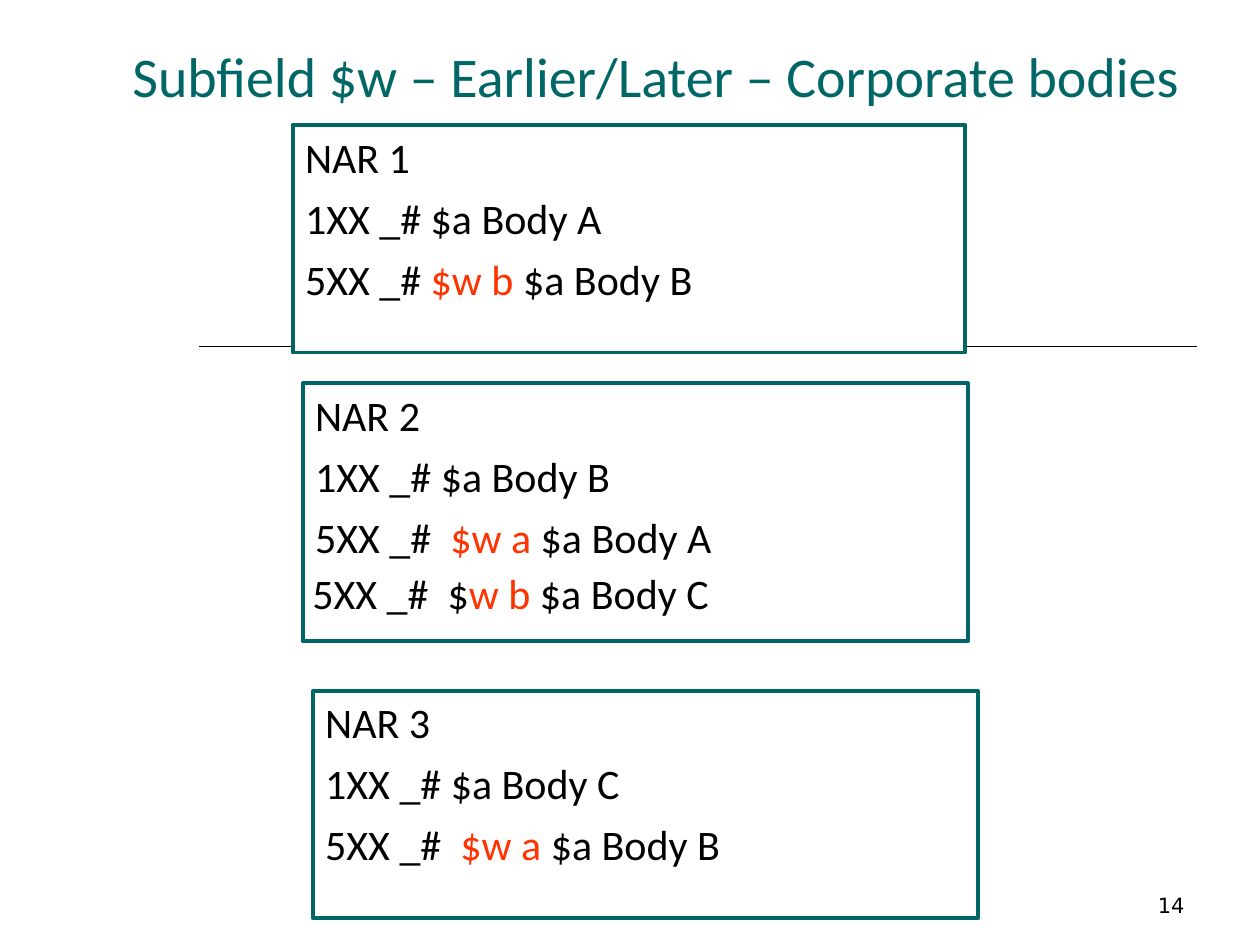
from pptx import Presentation
from pptx.dml import color
from pptx.enum import shapes, text
from pptx.oxml import ns
from pptx.util import Pt

TEAL, RED, BLACK, WHITE = "006666", "FF3300", "000000", "FFFFFF"
LEFT, CENTER, RIGHT = text.PP_ALIGN.LEFT, text.PP_ALIGN.CENTER, text.PP_ALIGN.RIGHT
TOP, BOTTOM = text.MSO_ANCHOR.TOP, text.MSO_ANCHOR.BOTTOM


def rgb(code):
    return color.RGBColor.from_string(code)


def write(frame, lines, size=24, font="Calibri", ink=BLACK, align=LEFT, anchor=TOP, gap=6):
    frame.word_wrap = True
    frame.auto_size = text.MSO_AUTO_SIZE.NONE
    frame.vertical_anchor = anchor
    for index, line in enumerate(lines):
        paragraph = frame.add_paragraph() if index else frame.paragraphs[0]
        paragraph.alignment = align
        paragraph.space_before = Pt(gap if index else 0)
        for words, accent in line:
            run = paragraph.add_run()
            run.text = words
            run.font.size = Pt(size)
            run.font.name = font
            run.font.color.rgb = rgb(accent or ink)


def plain(words):
    return [(words, None)]


def reference(tag, code, body):
    return [(tag, None), (code, RED), (f" $a {body}", None)]


def add_title(slide, box, words):
    title = slide.shapes.title
    title.left, title.top, title.width, title.height = map(Pt, box)
    write(title.text_frame, [plain(words)], size=32, ink=TEAL, align=CENTER, anchor=BOTTOM)


def add_rule(slide, left, right, y):
    rule = slide.shapes.add_connector(
        shapes.MSO_CONNECTOR.STRAIGHT, Pt(left), Pt(y), Pt(right), Pt(y))
    rule.line.color.rgb = rgb(BLACK)
    rule.line.width = Pt(1)
    properties = rule.element.spPr
    properties.append(properties.makeelement(ns.qn("a:effectLst"), {}))


def add_record(slide, box, number, heading, related, fill=None):
    record = slide.shapes.add_shape(shapes.MSO_SHAPE.RECTANGLE, *map(Pt, box))
    record.shadow.inherit = False
    if fill:
        record.fill.solid()
        record.fill.fore_color.rgb = rgb(fill)
    else:
        record.fill.background()
    record.line.color.rgb = rgb(TEAL)
    record.line.width = Pt(2.25)
    write(record.text_frame,
          [plain(f"NAR {number}"), plain(f"1XX _# $a {heading}"), related])


def add_label(slide, box, line, **style):
    label = slide.shapes.add_textbox(*map(Pt, box))
    write(label.text_frame, [line], **style)


def main():
    deck = Presentation()
    deck.slide_width, deck.slide_height = Pt(720), Pt(540)
    slide = deck.slides.add_slide(deck.slide_layouts[5])
    add_rule(slide, 114, 684, 198)
    add_title(slide, (60, 15, 630, 51), "Subfield $w – Earlier/Later – Corporate bodies")
    add_record(slide, (167.25, 71.5, 384.5, 130), 1, "Body A",
               reference("5XX _# ", "$w b", "Body B"), fill=WHITE)
    add_record(slide, (173, 219, 380, 147.5), 2, "Body B",
               reference("5XX _#  ", "$w a", "Body A"))
    add_record(slide, (178.75, 394.75, 380, 130), 3, "Body C",
               reference("5XX _#  ", "$w a", "Body B"))
    add_label(slide, (161.25, 321, 261, 36),
              reference("5XX _#  $", "w b", "Body C"), align=CENTER)
    add_label(slide, (516, 492, 168, 36), plain("14"),
              size=12, font="DejaVu Sans", align=RIGHT, anchor=BOTTOM)
    deck.save("out.pptx")


if __name__ == "__main__":
    main()
